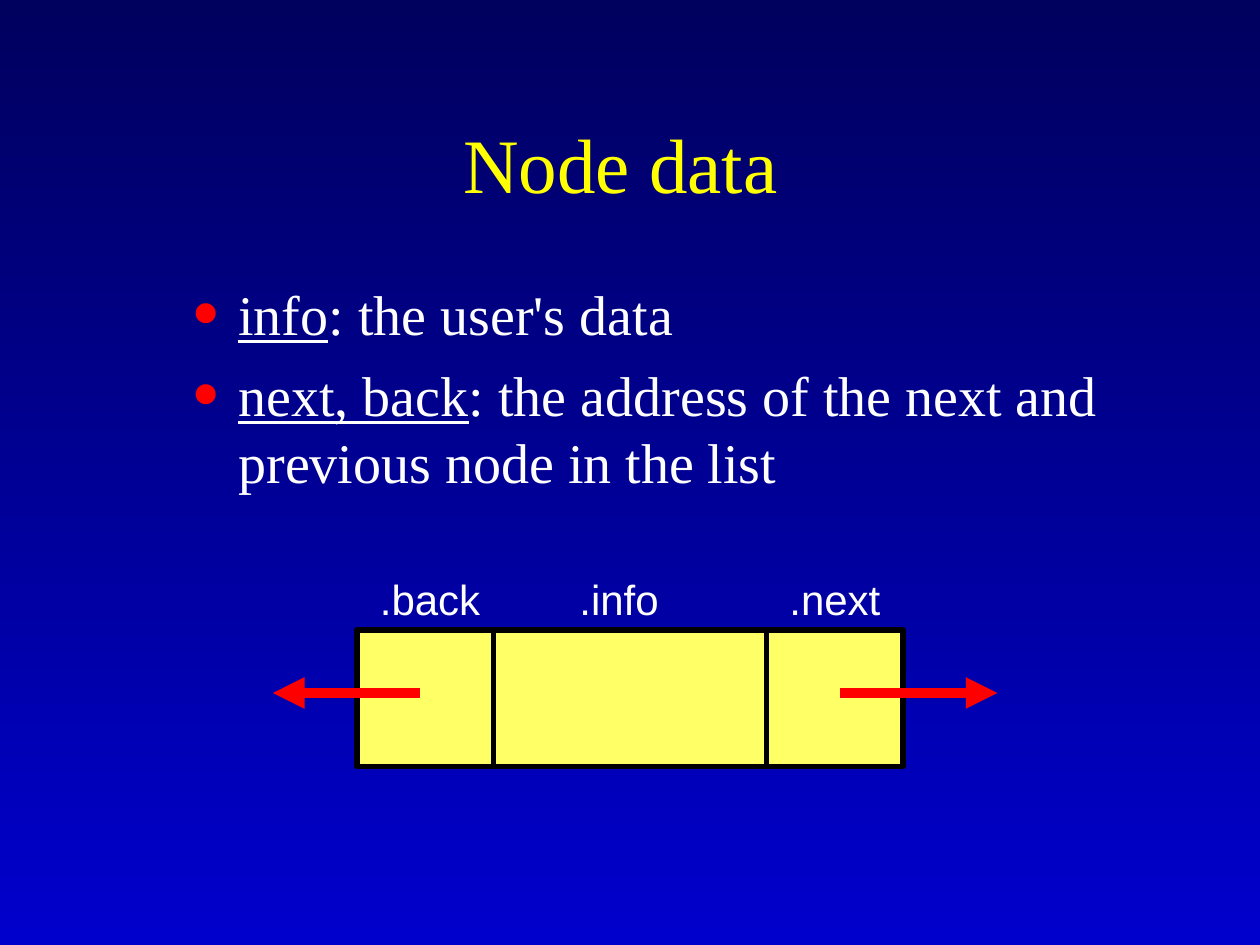
from dataclasses import dataclass

from lxml import etree
from pptx import Presentation
from pptx.dml.color import RGBColor
from pptx.enum.shapes import MSO_CONNECTOR, MSO_SHAPE
from pptx.enum.text import MSO_ANCHOR, MSO_AUTO_SIZE, PP_ALIGN
from pptx.oxml.ns import qn
from pptx.util import Emu, Pt

RECTANGLE = MSO_SHAPE.RECTANGLE
STRAIGHT = MSO_CONNECTOR.STRAIGHT
MIDDLE, TOP = MSO_ANCHOR.MIDDLE, MSO_ANCHOR.TOP
CENTER, LEFT = PP_ALIGN.CENTER, PP_ALIGN.LEFT
NO_FIT, FIT_SHAPE = MSO_AUTO_SIZE.NONE, MSO_AUTO_SIZE.SHAPE_TO_FIT_TEXT

EMU_PER_PX = 7620  # 120 px to the inch


def px(length):
    return Emu(length * EMU_PER_PX)


@dataclass(frozen=True)
class Theme:
    background_top: str = "00005E"
    background_bottom: str = "0000CC"
    title: str = "FFFF00"
    text: str = "FFFFFF"
    accent: str = "FF0000"
    node_fill: str = "FFFF66"
    node_line: str = "000000"
    serif: str = "Times New Roman"
    sans: str = "Arial"
    title_size: int = 44
    body_size: int = 32
    label_size: int = 24
    node_width: int = 3
    arrow_width: int = 6


class SlideBuilder:
    def __init__(self, slide, theme):
        self.slide = slide
        self.theme = theme

    def background(self):
        fill = self.slide.background.fill
        fill.gradient()
        fill.gradient_angle = 270
        colors = (self.theme.background_top, self.theme.background_bottom)
        for stop, color in zip(fill.gradient_stops, colors):
            stop.color.rgb = RGBColor.from_string(color)

    def place(self, shape, left, top, width, height):
        shape.left, shape.top = px(left), px(top)
        shape.width, shape.height = px(width), px(height)

    def add_run(self, paragraph, text, font, size, color, underline=False):
        run = paragraph.add_run()
        run.text = text
        run.font.name = font
        run.font.size = Pt(size)
        run.font.color.rgb = RGBColor.from_string(color)
        run.font.underline = underline

    def frame(self, shape, anchor, fit):
        frame = shape.text_frame
        frame.word_wrap = True
        frame.auto_size = fit
        frame.vertical_anchor = anchor
        return frame

    def title(self, text, *box):
        shape = self.slide.shapes.title
        self.place(shape, *box)
        paragraph = self.frame(shape, MIDDLE, NO_FIT).paragraphs[0]
        paragraph.alignment = CENTER
        theme = self.theme
        self.add_run(paragraph, text, theme.serif, theme.title_size, theme.title)

    def bullets(self, items, *box):
        shape = self.slide.placeholders[1]
        self.place(shape, *box)
        frame = self.frame(shape, TOP, NO_FIT)
        theme = self.theme
        for index, (term, meaning) in enumerate(items):
            paragraph = frame.add_paragraph() if index else frame.paragraphs[0]
            paragraph.alignment = LEFT
            paragraph.space_before = Pt(8)
            self.bullet(paragraph)
            style = (theme.serif, theme.body_size, theme.text)
            self.add_run(paragraph, term, *style, underline=True)
            self.add_run(paragraph, meaning, *style)

    def bullet(self, paragraph):
        properties = paragraph._p.get_or_add_pPr()
        indent = px(45)
        properties.set("marL", str(indent))
        properties.set("indent", str(-indent))
        color = etree.SubElement(properties, qn("a:buClr"))
        etree.SubElement(color, qn("a:srgbClr"), val=self.theme.accent)
        etree.SubElement(properties, qn("a:buSzPct"), val="150000")
        etree.SubElement(properties, qn("a:buFont"), typeface=self.theme.serif)
        etree.SubElement(properties, qn("a:buChar"), char="•")

    def label(self, text, *box):
        shape = self.slide.shapes.add_textbox(*map(px, box))
        paragraph = self.frame(shape, TOP, FIT_SHAPE).paragraphs[0]
        paragraph.space_before = Pt(15)
        theme = self.theme
        self.add_run(paragraph, text, theme.sans, theme.label_size, theme.text)

    def rectangle(self, *box):
        shape = self.slide.shapes.add_shape(RECTANGLE, *map(px, box))
        shape.shadow.inherit = False
        shape.fill.solid()
        shape.fill.fore_color.rgb = RGBColor.from_string(self.theme.node_fill)
        self.stroke(shape, self.theme.node_line, self.theme.node_width)

    def stroke(self, shape, color, width):
        shape.line.color.rgb = RGBColor.from_string(color)
        shape.line.width = Pt(width)

    def line(self, start, end, color, width):
        connector = self.slide.shapes.add_connector(
            STRAIGHT, *map(px, (*start, *end)))
        self.stroke(connector, color, width)
        etree.SubElement(connector._element.spPr, qn("a:effectLst"))
        return connector

    def divider(self, start, end):
        self.line(start, end, self.theme.node_line, self.theme.node_width)

    def arrow(self, start, end):
        connector = self.line(start, end, self.theme.accent, self.theme.arrow_width)
        etree.SubElement(connector.line._get_or_add_ln(), qn("a:tailEnd"),
                         type="triangle")


def main():
    presentation = Presentation()
    presentation.slide_width, presentation.slide_height = px(1200), px(900)
    slide = presentation.slides.add_slide(presentation.slide_layouts[1])
    builder = SlideBuilder(slide, Theme())
    builder.background()

    # Title and definitions; the closing space shifts the centred title
    builder.title("Node data ", 90, 80, 1020, 150)
    builder.bullets([
        ("info", ": the user's data"),
        ("next, back", ": the address of the next and previous node in the list"),
    ], 170, 260, 900, 240)

    # Node: the info field is twice as wide as each link field
    left, top, field, height = 340, 600, 130, 130
    builder.rectangle(left, top, 4 * field, height)
    for x in (left + field, left + 3 * field):
        builder.divider((x, top), (x, top + height))

    # Field labels
    for text, x in ((".back", 350), (".info", 540), (".next", 740)):
        builder.label(text, x, 540, 150, 60)

    # Links to the neighbouring nodes
    for start, end in ((400, 260), (800, 950)):
        builder.arrow((start, 660), (end, 660))

    presentation.save("out.pptx")


if __name__ == "__main__":
    main()
